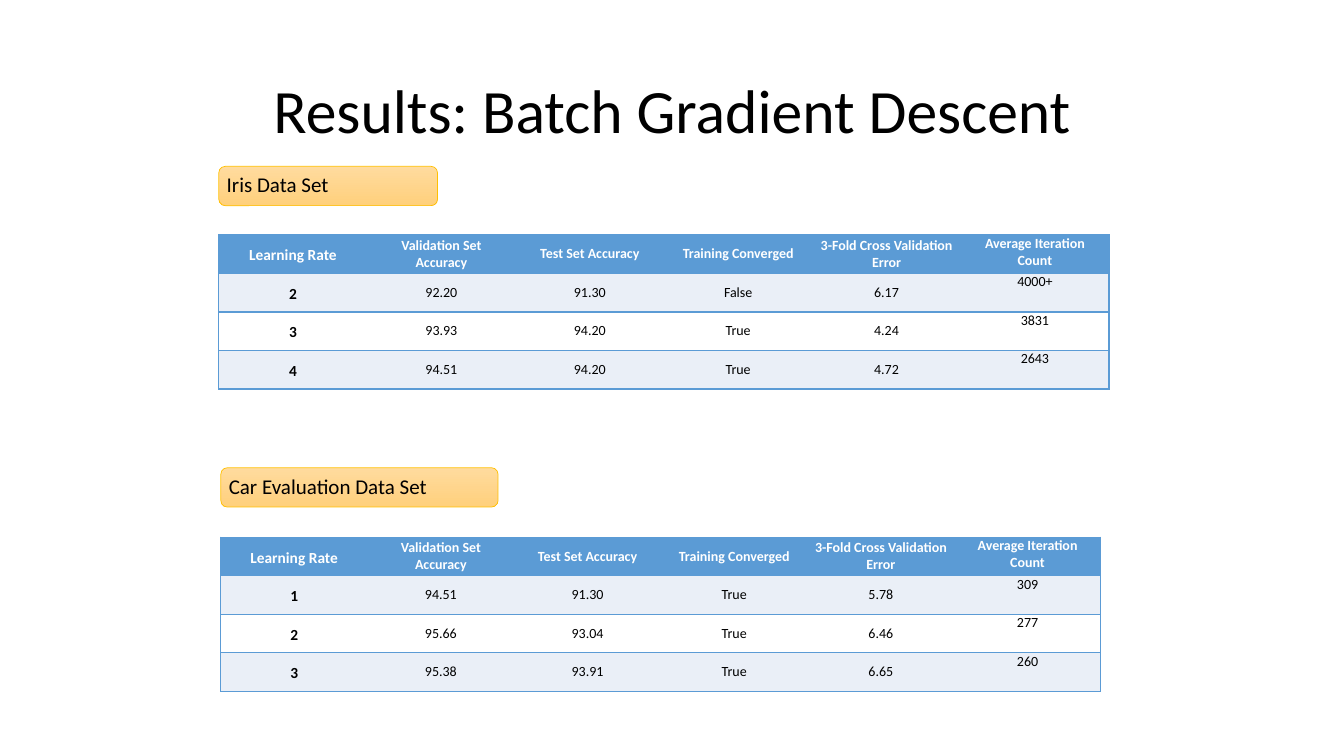
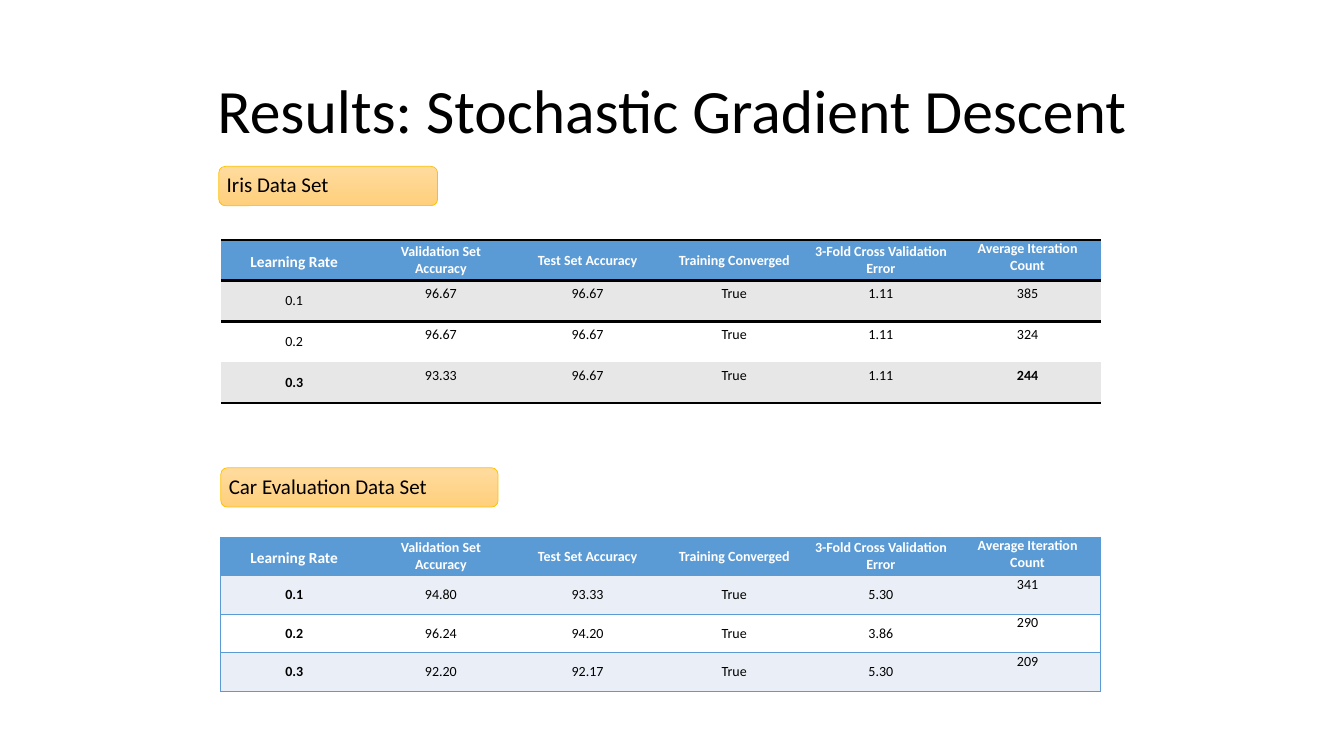
from dataclasses import dataclass

from lxml.etree import SubElement as Sub
from pptx import Presentation
from pptx.dml.color import RGBColor as Rgb
from pptx.enum.shapes import MSO_SHAPE as Shape
from pptx.enum.text import MSO_ANCHOR as Anchor, PP_ALIGN as Align
from pptx.oxml.ns import qn
from pptx.util import Inches, Pt


@dataclass(frozen=True)
class Theme:
    """Colours, font and type sizes of the deck."""
    font: str = "Calibri"
    ink: str = "000000"
    white: str = "FFFFFF"
    blue: str = "5B9BD5"
    pale: str = "EAEFF7"
    gray: str = "E7E7E7"
    gold: str = "FFC000"
    tag_top: str = "FFDB9E"
    tag_end: str = "FFD07C"
    title: int = 44
    tag: int = 15
    key: int = 11
    cell: int = 10


THEME = Theme()
NO_GRID = "{2D5ABB26-0587-4C30-8999-92F81FD0307C}"
HEADS = ["Learning Rate", "Validation Set Accuracy", "Test Set Accuracy",
         "Training Converged", "3-Fold Cross Validation Error",
         "Average Iteration Count"]


def add_run(para, text, size, color=THEME.ink, bold=False):
    """Add one styled run to a paragraph."""
    run = para.add_run()
    run.text = text
    font = run.font
    font.name, font.size, font.bold = THEME.font, Pt(size), bold
    font.color.rgb = Rgb.from_string(color)


def set_pad(box, side, edge):
    """Set the side and the top and bottom insets of a cell or frame."""
    box.margin_left = box.margin_right = Inches(side)
    box.margin_top = box.margin_bottom = Inches(edge)


def add_slide(deck, text):
    """Add a title-only slide with its centred title."""
    slide = deck.slides.add_slide(deck.slide_layouts[5])
    title = slide.shapes.title
    title.left, title.top = Inches(0.92), Inches(0.4)
    title.width, title.height = Inches(11.5), Inches(1.45)
    frame = title.text_frame
    frame.vertical_anchor = Anchor.MIDDLE
    para = frame.paragraphs[0]
    para.alignment, para.line_spacing = Align.CENTER, 0.9
    add_run(para, text, THEME.title)
    return slide


def add_tag(slide, text, left, top, width):
    """Add a rounded gold label that names a data set."""
    tag = slide.shapes.add_shape(Shape.ROUNDED_RECTANGLE, Inches(left),
                                 Inches(top), Inches(width), Inches(0.39))
    tag.shadow.inherit = False
    tag.fill.gradient()
    tag.fill.gradient_angle = 270
    for stop, color in zip(tag.fill.gradient_stops,
                           (THEME.tag_top, THEME.tag_end)):
        stop.color.rgb = Rgb.from_string(color)
    tag.line.color.rgb = Rgb.from_string(THEME.gold)
    tag.line.width = Pt(0.5)
    frame = tag.text_frame
    frame.word_wrap = True
    frame.vertical_anchor = Anchor.MIDDLE
    set_pad(frame, 0.06, 0.06)
    para = frame.paragraphs[0]
    para.alignment, para.line_spacing = Align.LEFT, 0.9
    add_run(para, text, THEME.tag)


def draw_edges(cell, sides, color, width):
    """Draw the named sides (L, R, T, B) of a cell."""
    props = cell._tc.get_or_add_tcPr()
    for side in sides:
        line = Sub(props, qn(f"a:ln{side}"), w=str(Pt(width)))
        fill = Sub(line, qn("a:solidFill"))
        Sub(fill, qn("a:srgbClr"), val=color)


def fill_cell(cell, text, size, fill, color=THEME.ink, bold=False,
              anchor=Anchor.MIDDLE, loose=False):
    """Fill a cell and write its text; loose keeps the usual insets."""
    cell.fill.solid()
    cell.fill.fore_color.rgb = Rgb.from_string(fill)
    cell.vertical_anchor = anchor
    set_pad(cell, *((0.1, 0.05) if loose else (0.07, 0)))
    para = cell.text_frame.paragraphs[0]
    para.alignment = Align.CENTER
    if size == THEME.key:
        para.line_spacing = 1.15
    elif not loose:
        para.space_after = Pt(6)
    add_run(para, text, size, color, bold)


def add_grid(slide, rows, left, top, width, height):
    """Add an even table without a style and return it."""
    count = len(HEADS)
    frame = slide.shapes.add_table(len(rows) + 1, count, Inches(left),
                                   Inches(top), Inches(width), Inches(height))
    table = frame.table
    table.first_row = table.horz_banding = False
    table._tbl.tblPr.find(qn("a:tableStyleId")).text = NO_GRID
    for col in table.columns:
        col.width = Inches(width / count)
    return table


def fill_head(table):
    """Write the blue header row."""
    for col, text in enumerate(HEADS):
        size = THEME.cell if col else THEME.key
        anchor = Anchor.TOP if col == len(HEADS) - 1 else Anchor.MIDDLE
        fill_cell(table.cell(0, col), text, size, THEME.blue, THEME.white,
                  True, anchor)


def add_boxed(slide, rows, left, top, width, key=THEME.key):
    """Add a table framed and ruled in blue."""
    table = add_grid(slide, rows, left, top, width, 1.53)
    last = len(HEADS) - 1
    for row in range(len(rows) + 1):
        for col in range(len(HEADS)):
            sides = {0: "LTB", last: "RTB"}.get(col, "TB")
            draw_edges(table.cell(row, col), sides, THEME.blue, 1)
    fill_head(table)
    for row, texts in enumerate(rows, 1):
        fill = THEME.pale if row % 2 else THEME.white
        for col, text in enumerate(texts):
            fill_cell(table.cell(row, col), text, THEME.cell if col else key,
                      fill, bold=col == 0,
                      anchor=Anchor.TOP if col == last else Anchor.MIDDLE)


def add_ruled(slide, rows, left, top, width):
    """Add a gray banded table with black rules and a bold best row."""
    table = add_grid(slide, rows, left, top, width, 1.62)
    end, last = len(rows), len(HEADS) - 1
    for col in range(len(HEADS)):
        for row, sides in ((0, "TB"), (1, "T"), (end, "B")):
            draw_edges(table.cell(row, col), sides, THEME.ink, 2)
    fill_head(table)
    for row, texts in enumerate(rows, 1):
        fill = THEME.gray if row % 2 else THEME.white
        for col, text in enumerate(texts):
            fill_cell(table.cell(row, col), text, THEME.cell, fill,
                      bold=row == end and col in (0, last),
                      anchor=Anchor.TOP if col else Anchor.MIDDLE,
                      loose=col > 0)


def add_tags(slide):
    """Add the labels of both data sets."""
    add_tag(slide, "Iris Data Set", 2.17, 1.65, 2.17)
    add_tag(slide, "Car Evaluation Data Set", 2.19, 4.64, 2.75)


def add_batch(deck):
    """Build the batch results."""
    slide = add_slide(deck, "Results: Batch Gradient Descent")
    add_tags(slide)
    iris = [("2", "92.20", "91.30", "False", "6.17", "4000+"),
            ("3", "93.93", "94.20", "True", "4.24", "3831"),
            ("4", "94.51", "94.20", "True", "4.72", "2643")]
    cars = [("1", "94.51", "91.30", "True", "5.78", "309"),
            ("2", "95.66", "93.04", "True", "6.46", "277"),
            ("3", "95.38", "93.91", "True", "6.65", "260")]
    add_boxed(slide, iris, 2.17, 2.33, 8.83)
    add_boxed(slide, cars, 2.19, 5.33, 8.73)


def add_random(deck):
    """Build the stochastic results."""
    slide = add_slide(deck, "Results: Stochastic Gradient Descent")
    add_tags(slide)
    iris = [("0.1", "96.67", "96.67", "True", "1.11", "385"),
            ("0.2", "96.67", "96.67", "True", "1.11", "324"),
            ("0.3", "93.33", "96.67", "True", "1.11", "244")]
    cars = [("0.1", "94.80", "93.33", "True", "5.30", "341"),
            ("0.2", "96.24", "94.20", "True", "3.86", "290"),
            ("0.3", "92.20", "92.17", "True", "5.30", "209")]
    add_boxed(slide, cars, 2.19, 5.33, 8.73, THEME.cell)
    add_ruled(slide, iris, 2.19, 2.38, 8.73)


def main():
    """Build and save the deck."""
    deck = Presentation()
    deck.slide_width, deck.slide_height = Inches(13.33), Inches(7.5)
    add_batch(deck)
    add_random(deck)
    deck.save("out.pptx")


main()
